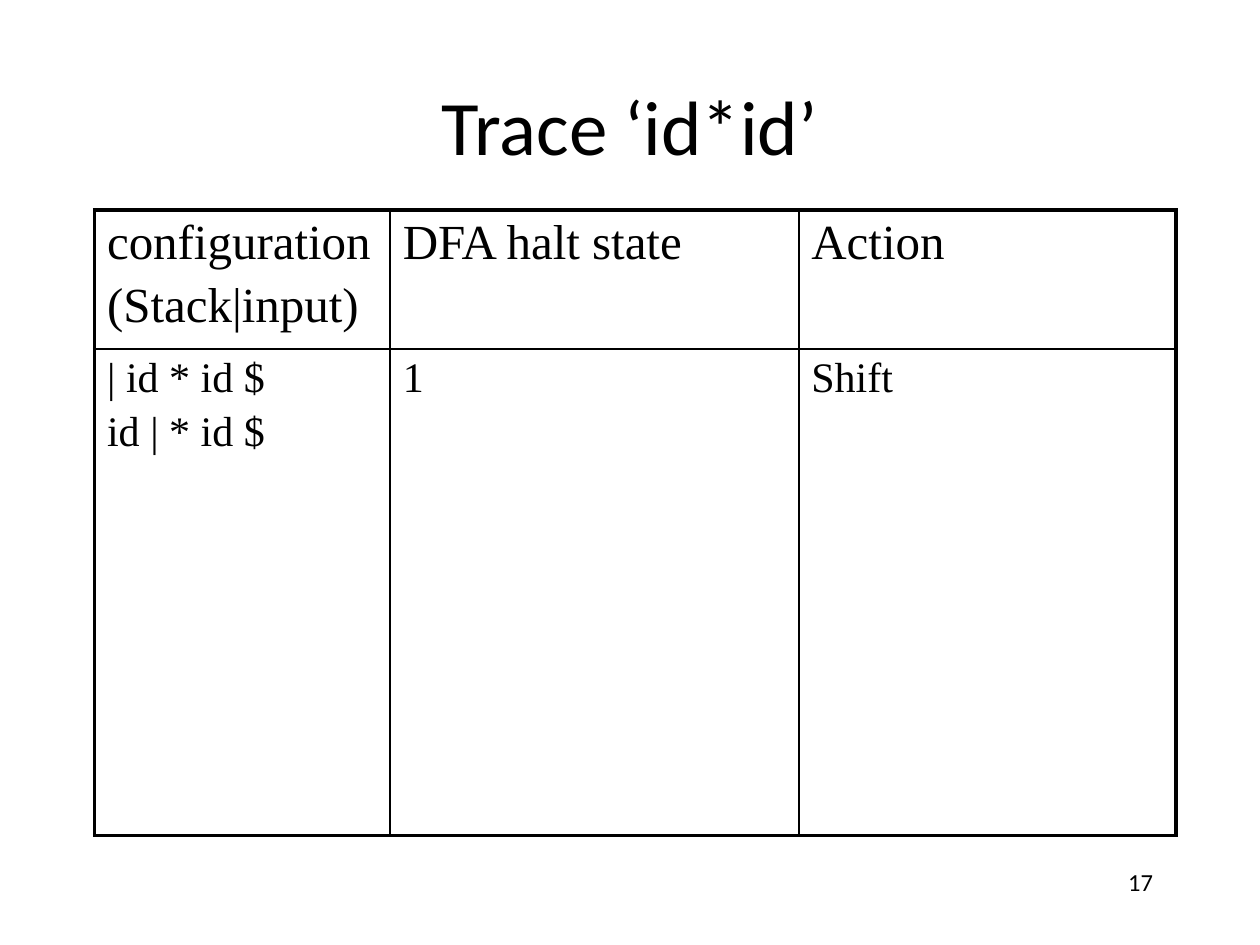
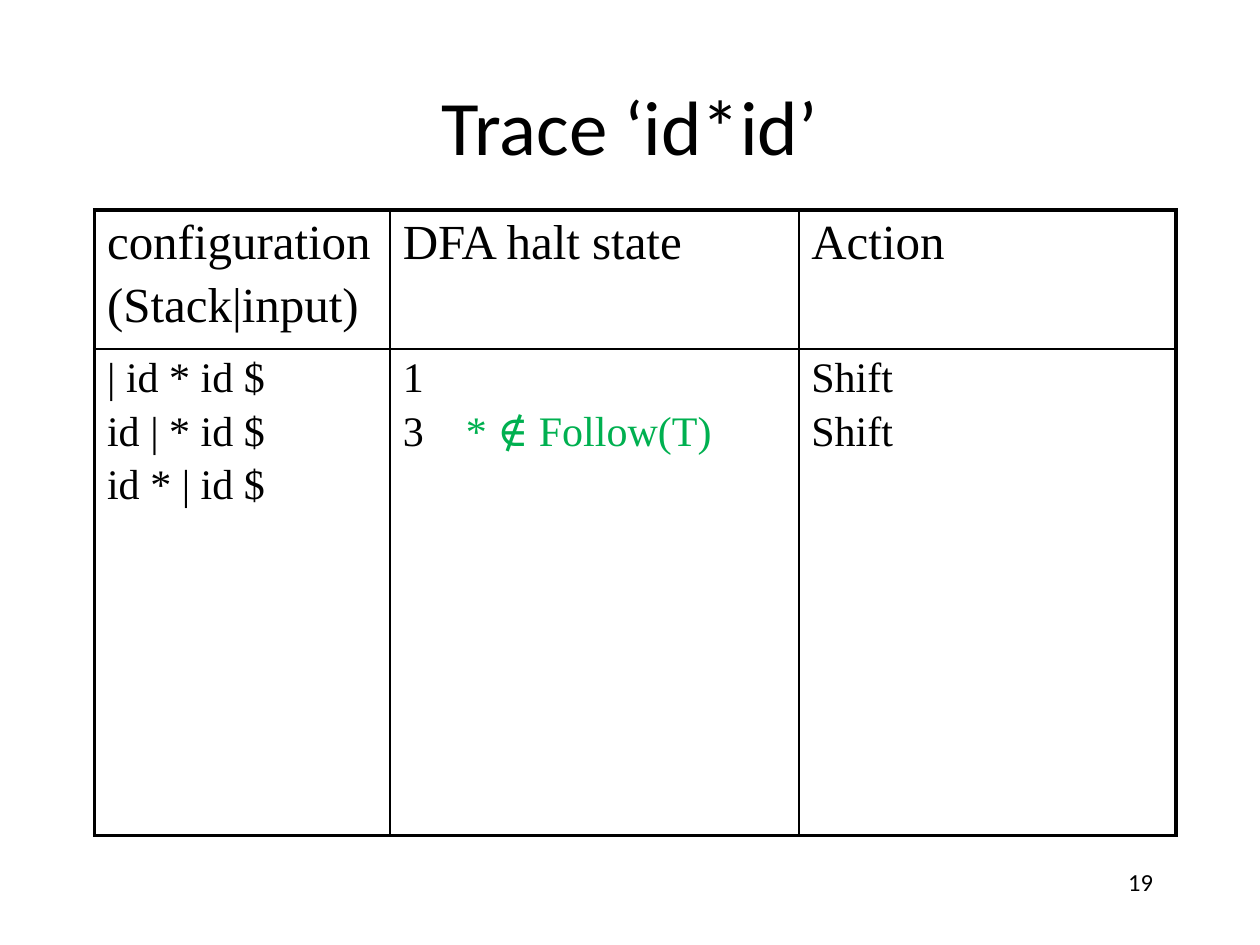
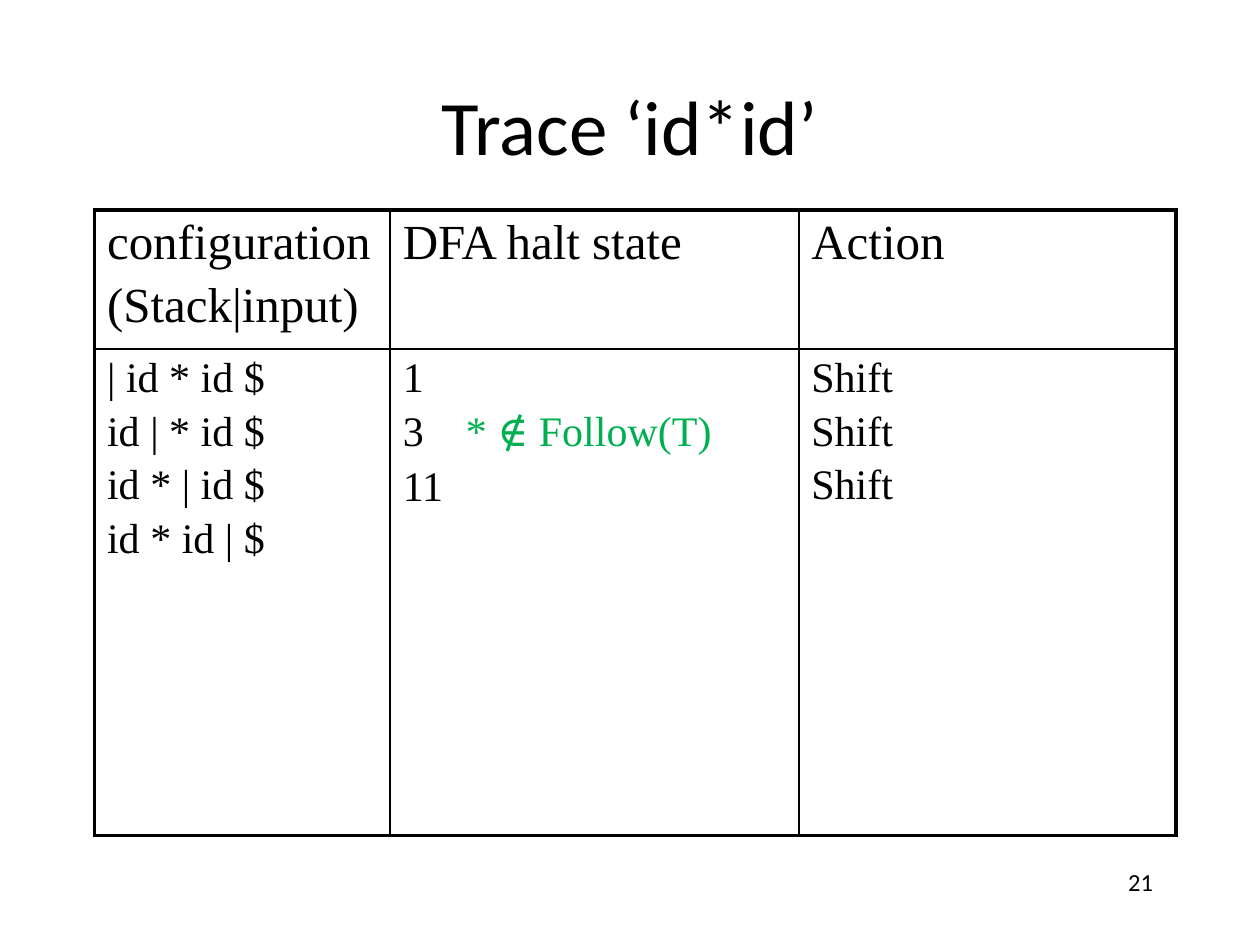
from lxml import etree
from pptx import Presentation
from pptx.dml.color import RGBColor
from pptx.enum import text
from pptx.oxml.ns import qn
from pptx.util import Pt

COLORS = {"ink": "000000", "note": "00B050"}
TITLE_FONT, TABLE_FONT, SYMBOL_FONT = "Calibri", "Times New Roman", "Cambria"
THICK, THIN = 2.25, 1
COL_WIDTHS = [169, 233.5, 215.5]
ROW_HEIGHTS = [75, 278]
NOTE_TAB = 36

HEADERS = [["configuration", "(Stack|input)"], ["DFA halt state"], ["Action"]]
# A paragraph is a string, or a list of (text, font, colour) pieces
CONFIGURATIONS = ["| id * id $", "id | * id $", "id * | id $", "id * id | $"]
HALT_STATES = [
    "1",
    [("3", TABLE_FONT, "ink"), ("\t* ", TABLE_FONT, "note"),
     ("∉", SYMBOL_FONT, "note"), (" Follow(T)", TABLE_FONT, "note")],
    "11",
]


def format_font(font, size, name, color="ink"):
    font.size = Pt(size)
    font.name = name
    font.color.rgb = RGBColor.from_string(COLORS[color])


def add_title(s, title):
    sp = s.shapes.title
    sp.left, sp.top, sp.width, sp.height = Pt(54), Pt(26), Pt(612), Pt(90)
    tf = sp.text_frame
    tf.text = title
    tf.vertical_anchor = text.MSO_ANCHOR.MIDDLE
    p = tf.paragraphs[0]
    p.alignment = text.PP_ALIGN.CENTER
    format_font(p.runs[0].font, 44, TITLE_FONT)


def add_slide_number(s, number):
    tf = s.shapes.add_textbox(Pt(516), Pt(492), Pt(150), Pt(36)).text_frame
    tf.word_wrap = True
    tf.text = str(number)
    p = tf.paragraphs[0]
    p.alignment = text.PP_ALIGN.RIGHT
    format_font(p.runs[0].font, 14, TITLE_FONT)


def add_tab_stop(p, position):
    tabs = etree.SubElement(p._p.get_or_add_pPr(), qn("a:tabLst"))
    etree.SubElement(tabs, qn("a:tab"), pos=str(Pt(position)), algn="l")


def fill_cell(cell, paragraphs, size, gap):
    tf = cell.text_frame
    for i, content in enumerate(paragraphs):
        p = tf.add_paragraph() if i else tf.paragraphs[0]
        if isinstance(content, str):
            content = [(content, TABLE_FONT, "ink")]
        else:
            add_tab_stop(p, NOTE_TAB)
        p.space_before = Pt(gap if i else 0)
        for piece, font, color in content:
            r = p.add_run()
            r.text = piece
            format_font(r.font, size, font, color)


def set_borders(cell, widths):
    tc_pr = cell._tc.get_or_add_tcPr()
    for side, width in widths.items():
        ln = etree.SubElement(tc_pr, qn(f"a:ln{side}"), w=str(Pt(width)))
        fill = etree.SubElement(ln, qn("a:solidFill"))
        etree.SubElement(fill, qn("a:srgbClr"), val=COLORS["ink"])


def add_trace_table(s, rows):
    n_rows, n_cols = len(ROW_HEIGHTS), len(COL_WIDTHS)
    table = s.shapes.add_table(n_rows, n_cols, Pt(54), Pt(120),
                               Pt(sum(COL_WIDTHS)), Pt(sum(ROW_HEIGHTS))).table
    table.first_row = table.horz_banding = False
    for column, width in zip(table.columns, COL_WIDTHS):
        column.width = Pt(width)
    for i, (height, (cells, size, gap)) in enumerate(zip(ROW_HEIGHTS, rows)):
        table.rows[i].height = Pt(height)
        for j, paragraphs in enumerate(cells):
            cell = table.cell(i, j)
            # Thick outer frame, thin inner lines
            set_borders(cell, {"L": THIN if j else THICK,
                               "R": THICK if j == n_cols - 1 else THIN,
                               "T": THIN if i else THICK,
                               "B": THICK if i == n_rows - 1 else THIN})
            cell.fill.background()
            fill_cell(cell, paragraphs, size, gap)


def add_trace_slide(prs, number, steps):
    s = prs.slides.add_slide(prs.slide_layouts[5])
    add_title(s, "Trace ‘id*id’")
    add_slide_number(s, number)
    trace = [CONFIGURATIONS[:steps + 1], HALT_STATES[:steps], ["Shift"] * steps]
    add_trace_table(s, [(HEADERS, 28, 5), (trace, 24, 4)])


def main():
    prs = Presentation()
    prs.slide_width, prs.slide_height = Pt(720), Pt(540)
    # Each slide shows one more parsing step
    for steps, number in enumerate([17, 19, 21], start=1):
        add_trace_slide(prs, number, steps)
    prs.save("out.pptx")


if __name__ == "__main__":
    main()
